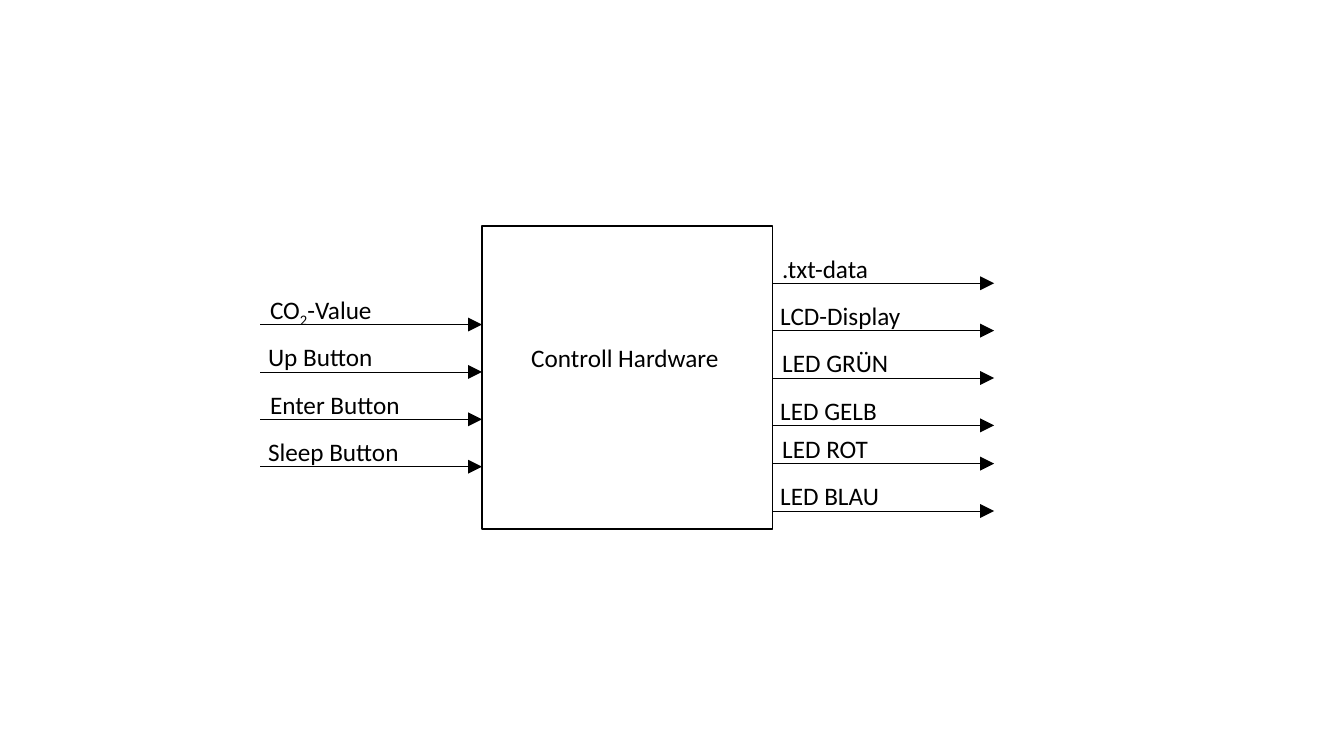
import pptx
import pptx.util
import pptx.dml.color
import pptx.enum.shapes
import pptx.enum.text
import pptx.oxml.ns
import lxml.etree

Inches = pptx.util.Inches
Pt = pptx.util.Pt

THEME = {
    "ink": pptx.dml.color.RGBColor(0, 0, 0),
    "font": "Calibri",
    "size": Pt(18),
    "frame": Pt(1),
    "arrow": Pt(0.5),
}

CONTROLLER = "Controll Hardware"
INPUTS = [
    (("CO", "2", "-Value"), 1.27),
    (("Up Button",), 1.25),
    (("Enter Button",), 1.51),
    (("Sleep Button",), 1.52),
]
FILE_AND_LED_OUTPUTS = [
    ((".txt-data",), 1.07),
    (("LCD-Display",), 1.41),
    (("LED GRÜN",), 1.27),
    (("LED GELB",), 1.17),
]
LOWER_LED_OUTPUTS = [
    (("LED ROT",), 1.06),
    (("LED BLAU",), 1.19),
]

BOX_LEFT, BOX_TOP, BOX_WIDTH, BOX_HEIGHT = 4.78, 2.24, 2.88, 3.01
BOX_RIGHT = BOX_LEFT + BOX_WIDTH
ARROW_LENGTH, ROW_STEP = 2.2, 0.47
LABEL_RISE, LABEL_HEIGHT, LABEL_STAGGER = 0.35, 0.4, 0.02

SIGNAL_GROUPS = [
    (INPUTS, BOX_LEFT - ARROW_LENGTH, 3.22),
    (FILE_AND_LED_OUTPUTS, BOX_RIGHT, 2.81),
    (LOWER_LED_OUTPUTS, BOX_RIGHT, 4.6),
]

FONT_FORMAT = {"name": THEME["font"], "size": THEME["size"]}
LABEL_FORMAT = {
    "word_wrap": False,
    "auto_size": pptx.enum.text.MSO_AUTO_SIZE.SHAPE_TO_FIT_TEXT,
}
ARROWHEAD = {"type": "triangle", "w": "lg", "len": "lg"}


def apply(target, values):
    for name, value in values.items():
        setattr(target, name, value)


def add_label(parts, left, top, width):
    frame = diagram.add_textbox(
        Inches(left), Inches(top), Inches(width), Inches(LABEL_HEIGHT)
    ).text_frame
    apply(frame, LABEL_FORMAT)
    for index, part in enumerate(parts):
        run = frame.paragraphs[0].add_run()
        run.text = part
        apply(run.font, FONT_FORMAT)
        run.font.color.rgb = THEME["ink"]
        if index % 2:
            run._r.get_or_add_rPr().set("baseline", "-25000")


def add_arrow(left, y):
    arrow = diagram.add_connector(
        pptx.enum.shapes.MSO_CONNECTOR.STRAIGHT,
        Inches(left), Inches(y), Inches(left + ARROW_LENGTH), Inches(y),
    )
    arrow.line.color.rgb = THEME["ink"]
    arrow.line.width = THEME["arrow"]
    qn = pptx.oxml.ns.qn
    lxml.etree.SubElement(arrow.line._get_or_add_ln(), qn("a:tailEnd"), ARROWHEAD)
    lxml.etree.SubElement(arrow._element.spPr, qn("a:effectLst"))


deck = pptx.Presentation()
apply(deck, {"slide_width": Inches(13.33), "slide_height": Inches(7.5)})
slide = deck.slides.add_slide(deck.slide_layouts[6])
diagram = slide.shapes.add_group_shape().shapes

controller = diagram.add_shape(
    pptx.enum.shapes.MSO_SHAPE.RECTANGLE,
    Inches(BOX_LEFT), Inches(BOX_TOP), Inches(BOX_WIDTH), Inches(BOX_HEIGHT),
)
controller.shadow.inherit = False
controller.fill.background()
controller.line.color.rgb = THEME["ink"]
controller.line.width = THEME["frame"]
add_label((CONTROLLER,), 5.17, 3.35, 2.08)

for signals, left, first_row in SIGNAL_GROUPS:
    for row, (parts, width) in enumerate(signals):
        y = first_row + row * ROW_STEP
        add_arrow(left, y)
        add_label(parts, left - row % 2 * LABEL_STAGGER, y - LABEL_RISE, width)

deck.save("out.pptx")
